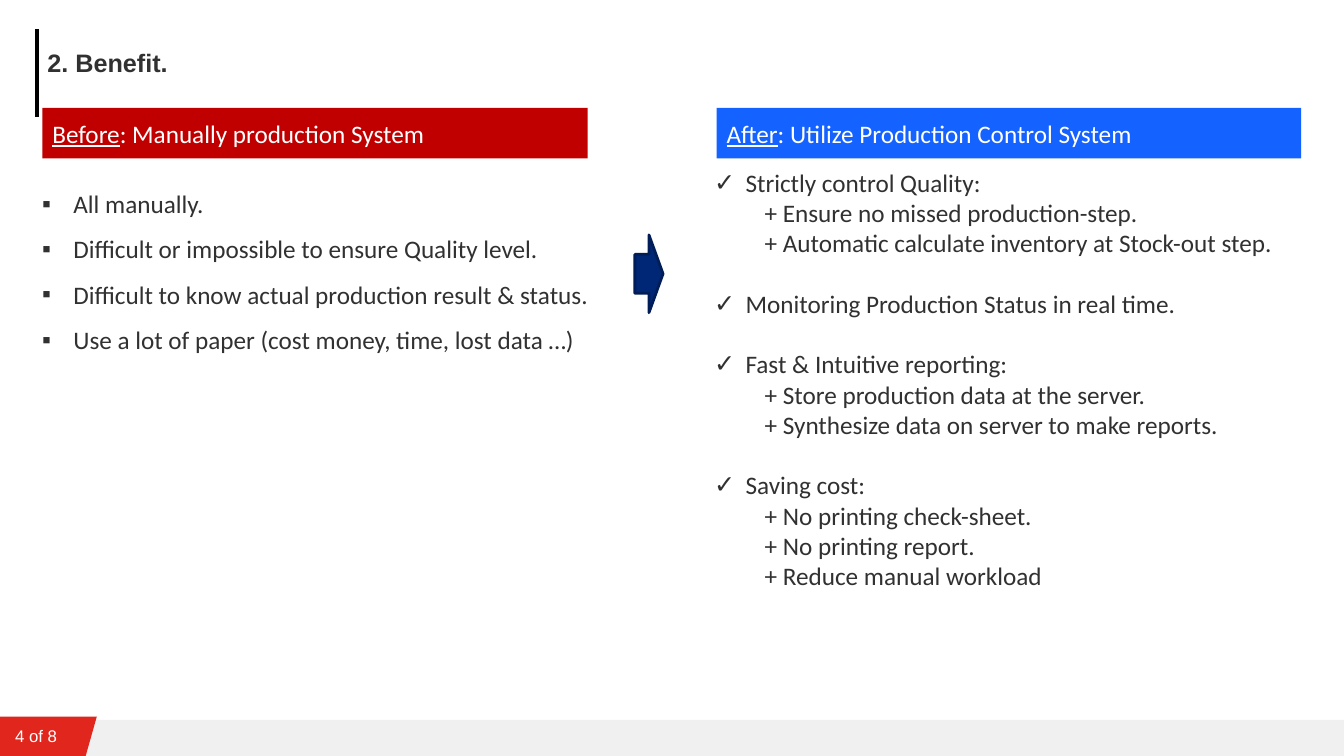
import pptx
import pptx.dml.color
import pptx.enum.shapes
import pptx.enum.text
import pptx.oxml
import pptx.oxml.ns
import pptx.util
from pptx.util import Cm

RGBColor = pptx.dml.color.RGBColor
WHITE = RGBColor(0xFF, 0xFF, 0xFF)
BLACK = RGBColor(0, 0, 0)
INK = RGBColor(0x31, 0x31, 0x31)
FLAG_RED = RGBColor(0xE1, 0x26, 0x1D)
BEFORE_RED = RGBColor(0xC0, 0, 0)
AFTER_BLUE = RGBColor(0x14, 0x62, 0xFF)
NAVY = RGBColor(0, 0x27, 0x76)
NAVY_EDGE = RGBColor(0, 0x1D, 0x57)

SHAPES = pptx.enum.shapes.MSO_SHAPE
ANCHOR = pptx.enum.text.MSO_ANCHOR
LEFT = pptx.enum.text.PP_ALIGN.LEFT

BENEFITS_BEFORE = [
    "All manually.",
    "Difficult or impossible to ensure Quality level.",
    "Difficult to know actual production result & status.",
    "Use a lot of paper (cost money, time, lost data …)",
]
BENEFITS_AFTER = [
    ("Strictly control Quality:", [
        "+ Ensure no missed production-step.",
        "+ Automatic calculate inventory at Stock-out step."]),
    ("Monitoring Production Status in real time.", []),
    ("Fast & Intuitive reporting:", [
        "+ Store production data at the server.",
        "+ Synthesize data on server to make reports."]),
    ("Saving cost:", [
        "+ No printing check-sheet.",
        "+ No printing report.",
        "+ Reduce manual workload"]),
]


def add_xml(parent, tag, **attributes):
    child = pptx.oxml.parse_xml(f"<a:{tag} {pptx.oxml.ns.nsdecls('a')}/>")
    for key, value in attributes.items():
        child.set(key, value)
    parent.append(child)


class BenefitSlide:
    heading = {"name": "Arial", "size": pptx.util.Pt(18), "bold": True}
    body = {"name": "Calibri", "size": pptx.util.Pt(18)}
    page = {"name": "Arial", "size": pptx.util.Pt(12)}

    def __init__(self, deck):
        self.slide = deck.slides.add_slide(deck.slide_layouts[5])
        self.shapes = self.slide.shapes

    def add_words(self, paragraph, text, style, color, **extra):
        run = paragraph.add_run()
        run.text = text
        for attribute, value in {**style, **extra}.items():
            setattr(run.font, attribute, value)
        run.font.color.rgb = color

    def paint(self, shape, fill, edge=None):
        shape.shadow.inherit = False
        shape.fill.solid()
        shape.fill.fore_color.rgb = fill
        if edge is None:
            shape.line.fill.background()
        else:
            shape.line.color.rgb = edge
            shape.line.width = pptx.util.Pt(2)

    def title(self, text, left, top, width, height):
        title = self.shapes.title
        place = {"left": left, "top": top, "width": width, "height": height}
        for attribute, value in place.items():
            setattr(title, attribute, Cm(value))
        title.text_frame.vertical_anchor = ANCHOR.TOP
        paragraph = title.text_frame.paragraphs[0]
        paragraph.alignment = LEFT
        self.add_words(paragraph, text, self.heading, INK)

    def block(self, kind, place, fill, edge=None):
        shape = self.shapes.add_shape(kind, *map(Cm, place))
        self.paint(shape, fill, edge)
        return shape

    def footer(self, page_text):
        strip = self.block(SHAPES.RECTANGLE, (0, 18.14, 33.87, 0.91), INK)
        tint = strip._element.spPr.find(".//" + pptx.oxml.ns.qn("a:srgbClr"))
        add_xml(tint, "alpha", val="7000")
        outline = [(2.44, 18.06), (2.16, 19.05), (0, 19.05), (0, 18.06)]
        corners = [(Cm(x), Cm(y)) for x, y in outline]
        builder = self.shapes.build_freeform(*corners[0])
        builder.add_line_segments(corners[1:], close=True)
        self.paint(builder.convert_to_shape(), FLAG_RED)
        frame = self.text_box(0.13, 18.16, 4.72, 0.76)
        self.add_words(frame.paragraphs[0], page_text, self.page, WHITE)

    def rule(self, x, top, bottom):
        straight = pptx.enum.shapes.MSO_CONNECTOR.STRAIGHT
        rule = self.shapes.add_connector(straight, Cm(x), Cm(top), Cm(x), Cm(bottom))
        rule.line.color.rgb = BLACK
        rule.line.width = pptx.util.Pt(3)
        add_xml(rule._element.spPr, "effectLst")

    def banner(self, lead, rest, place, fill):
        frame = self.block(SHAPES.RECTANGLE, place, fill).text_frame
        frame.vertical_anchor = ANCHOR.MIDDLE
        paragraph = frame.paragraphs[0]
        paragraph.alignment = LEFT
        self.add_words(paragraph, lead, self.body, WHITE, underline=True)
        self.add_words(paragraph, rest, self.body, WHITE)

    def text_box(self, *place):
        frame = self.shapes.add_textbox(*map(Cm, place)).text_frame
        frame.word_wrap = True
        return frame

    def bullets(self, place, mark, groups, line_spacing=1.0, gap=0):
        """Bulleted items with plain sub-items; gap is the points between items."""
        frame = self.text_box(*place)
        paragraph = frame.paragraphs[0]
        for number, (item, details) in enumerate(groups):
            if number:
                paragraph = frame.add_paragraph()
                paragraph.space_before = pptx.util.Pt(gap)
            paragraph.line_spacing = line_spacing
            properties = paragraph._p.get_or_add_pPr()
            properties.set("marL", str(Cm(0.79)))
            properties.set("indent", str(-Cm(0.79)))
            add_xml(properties, "buFont", typeface="Arial")
            add_xml(properties, "buChar", char=mark)
            self.add_words(paragraph, item, self.body, INK)
            for detail in details:
                paragraph = frame.add_paragraph()
                paragraph.level = 1
                properties = paragraph._p.get_or_add_pPr()
                properties.set("marL", str(Cm(1.27)))
                properties.set("indent", "0")
                self.add_words(paragraph, detail, self.body, INK)


def main():
    deck = pptx.Presentation()
    deck.slide_width, deck.slide_height = Cm(33.87), Cm(19.05)
    page = BenefitSlide(deck)
    page.footer("4 of 8")
    page.rule(0.94, 0.74, 2.95)
    page.title("2. Benefit.", 0.94, 1.07, 30.12, 1.96)
    page.banner("Before", ": Manually production System",
                (1.07, 2.72, 13.74, 1.27), BEFORE_RED)
    page.bullets((0.81, 4.24, 14.6, 5.64), "▪",
                 [(item, []) for item in BENEFITS_BEFORE], line_spacing=1.5)
    page.banner("After", ": Utilize Production Control System",
                (18.06, 2.72, 14.73, 1.27), AFTER_BLUE)
    page.bullets((17.75, 4.09, 15.29, 11.02), "✓", BENEFITS_AFTER, gap=21.6)
    page.block(SHAPES.RIGHT_ARROW, (16, 5.92, 0.71, 1.96), NAVY, NAVY_EDGE)
    deck.save("out.pptx")


if __name__ == "__main__":
    main()
